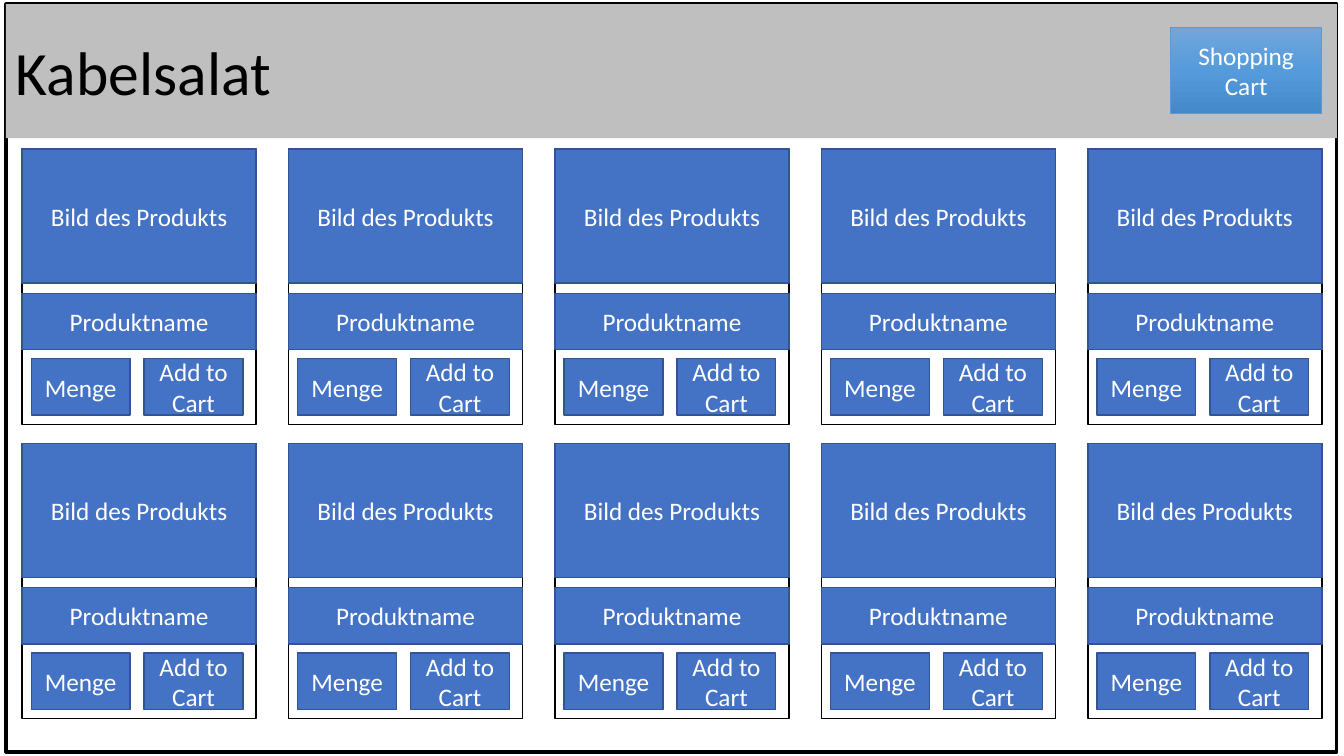
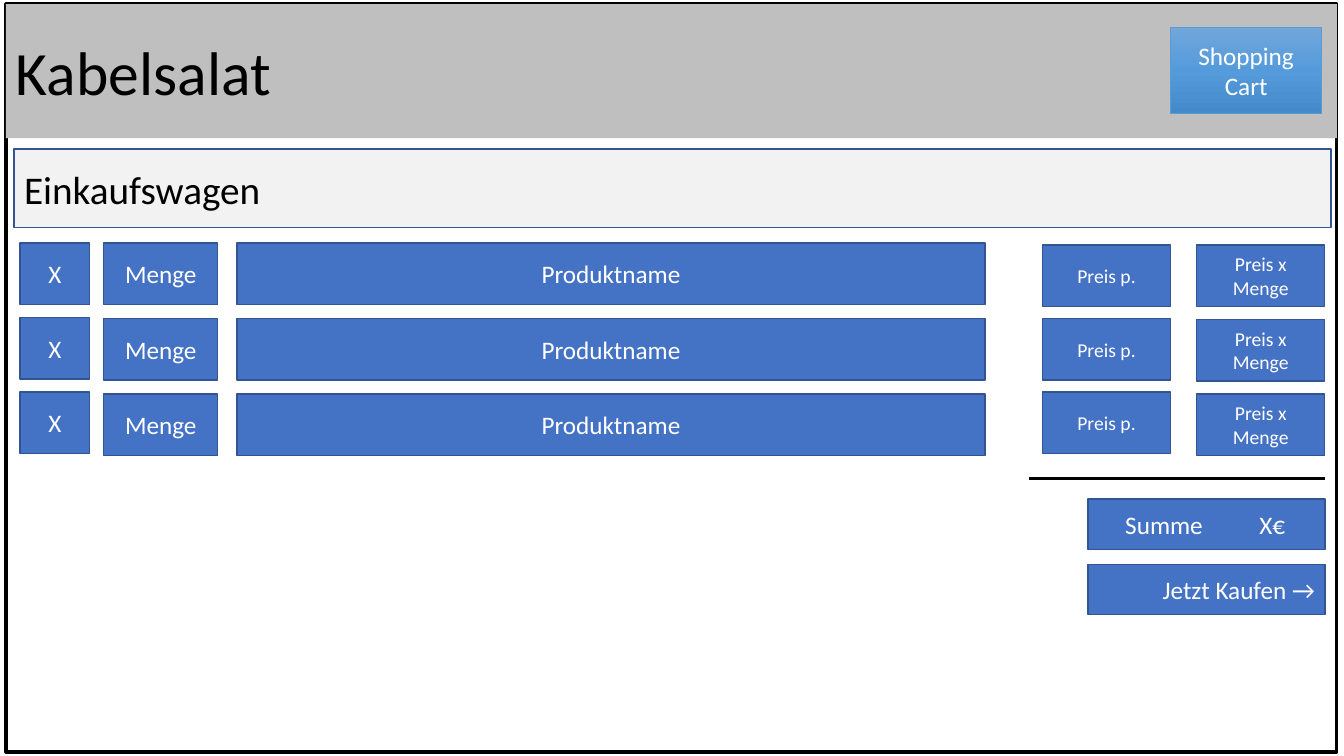
from lxml.etree import SubElement
from pptx import Presentation
from pptx.dml.color import RGBColor
from pptx.enum.shapes import MSO_CONNECTOR, MSO_SHAPE
from pptx.enum.text import PP_ALIGN
from pptx.oxml.ns import qn
from pptx.util import Inches, Pt

BLACK = RGBColor(0x00, 0x00, 0x00)
WHITE = RGBColor(0xFF, 0xFF, 0xFF)
HEADER_GRAY = RGBColor(0xBF, 0xBF, 0xBF)
LIGHT_GRAY = RGBColor(0xF2, 0xF2, 0xF2)
BLUE = RGBColor(0x44, 0x72, 0xC4)
DARK_BLUE = RGBColor(0x32, 0x54, 0x91)
BUTTON_EDGE = RGBColor(0x5B, 0x9B, 0xD5)
BUTTON_STOPS = [
    (0, RGBColor(0x71, 0xA6, 0xDB)),
    (50, RGBColor(0x55, 0x9B, 0xDB)),
    (100, RGBColor(0x44, 0x8A, 0xCA)),
]
FONT = "Calibri"
RECTANGLE = MSO_SHAPE.RECTANGLE
ROUNDED = MSO_SHAPE.ROUNDED_RECTANGLE


def add_box(shapes, left, top, width, height, text="", fill=BLUE, line=DARK_BLUE,
            line_width=1, size=18, color=WHITE, align=PP_ALIGN.CENTER, kind=RECTANGLE):
    shape = shapes.add_shape(kind, Inches(left), Inches(top), Inches(width), Inches(height))
    shape.shadow.inherit = False
    if fill is None:
        shape.fill.background()
    else:
        shape.fill.solid()
        shape.fill.fore_color.rgb = fill
    if line is None:
        shape.line.fill.background()
    else:
        shape.line.color.rgb = line
        shape.line.width = Pt(line_width)
    if text:
        shape.text_frame.text = text
        paragraph = shape.text_frame.paragraphs[0]
        paragraph.alignment = align
        font = paragraph.runs[0].font
        font.name = FONT
        font.size = Pt(size)
        font.color.rgb = color
    return shape


def add_color(parent, color):
    SubElement(parent, qn("a:srgbClr"), val=str(color))


def set_gradient(shape, stops):
    shape.fill.gradient()
    shape.fill.gradient_angle = 270
    stop_list = next(shape._element.iter(qn("a:gsLst")))
    for stop in list(stop_list):
        stop_list.remove(stop)
    for position, color in stops:
        add_color(SubElement(stop_list, qn("a:gs"), pos=str(position * 1000)), color)


def outline_text(run, color, width):
    properties = run._r.get_or_add_rPr()
    outline = SubElement(properties, qn("a:ln"), w=str(Pt(width)))
    add_color(SubElement(outline, qn("a:solidFill")), color)
    properties.insert(0, outline)


def add_page(presentation, left=0.06, top=0.04, width=13.2, height=7.42):
    slide = presentation.slides.add_slide(presentation.slide_layouts[6])
    add_box(slide.shapes, left, top, width, height, fill=None, line=BLACK, line_width=2.25)
    add_header(slide.shapes, left, top, width, 1.33)
    return slide


def add_header(shapes, left, top, width, height):
    header = add_box(shapes, left, top, width, height, "Kabelsalat", fill=HEADER_GRAY,
                     line=None, size=44, color=BLACK, align=PP_ALIGN.LEFT)
    outline_text(header.text_frame.paragraphs[0].runs[0], HEADER_GRAY, 0.75)
    button = add_box(shapes, left + width - 1.65, top + 0.23, 1.5, 0.86, "Shopping Cart",
                     line=BUTTON_EDGE, line_width=0.5)
    set_gradient(button, BUTTON_STOPS)


def add_product_card(slide, left, top, width=2.32, height=2.73):
    shapes = slide.shapes.add_group_shape().shapes
    add_box(shapes, left, top, width, height, fill=WHITE, line=BLACK)
    product_image = add_box(shapes, left, top, width, 1.33, "Bild des Produkts", kind=ROUNDED)
    product_image.adjustments[0] = 0
    add_box(shapes, left, top + 1.43, width, 0.56, "Produktname")
    for offset, label in [(0.09, "Menge"), (1.21, "Add to Cart")]:
        add_box(shapes, left + offset, top + 2.08, 0.98, 0.56, label)


def add_product_grid(slide, left, top, columns=5, rows=2, column_step=2.6425, row_step=2.92):
    for row in range(rows):
        for column in range(columns):
            add_product_card(slide, left + column * column_step, top + row * row_step)


def add_cart_items(slide, left, top, rows=3, height=0.61):
    columns = [
        (0, 0, 0.74, 0.69, "X", 18),
        (0.83, 0, 0.75, 1.13, "Menge", 18),
        (2.15, 0, 0.75, 7.42, "Produktname", 18),
        (10.14, 0.02, 0.73, 1.27, "Preis p.", 14),
        (11.67, 0.02, 0.74, 1.27, "Preis x Menge", 14),
    ]
    for x, y, step, width, label, size in columns:
        for row in range(rows):
            add_box(slide.shapes, left + x, top + y + row * step, width, height, label, size=size)


def add_checkout(slide, left, top, width):
    right = left + width
    rule = slide.shapes.add_connector(MSO_CONNECTOR.STRAIGHT, Inches(left), Inches(top),
                                      Inches(right), Inches(top))
    rule.line.color.rgb = BLACK
    rule.line.width = Pt(2.25)
    SubElement(rule._element.spPr, qn("a:effectLst"))

    box_width = 2.35
    box_left = right - box_width
    total = add_box(slide.shapes, box_left, top + 0.2, box_width, 0.5, "Summe\tX€",
                    align=PP_ALIGN.LEFT)
    total.text_frame.margin_left = Inches(0.37)
    properties = total.text_frame.paragraphs[0]._p.get_or_add_pPr()
    tabs = SubElement(properties, qn("a:tabLst"))
    SubElement(tabs, qn("a:tab"), pos=str(Inches(1.33)), algn="l")
    add_box(slide.shapes, box_left, top + 0.85, box_width, 0.5, "Jetzt Kaufen →",
            align=PP_ALIGN.RIGHT)


def build_shop(presentation):
    slide = add_page(presentation)
    add_product_grid(slide, 0.22, 1.48)


def build_cart(presentation):
    slide = add_page(presentation)
    add_box(slide.shapes, 0.14, 1.48, 13.06, 0.78, "Einkaufswagen", fill=LIGHT_GRAY,
            size=28, color=BLACK, align=PP_ALIGN.LEFT)
    add_cart_items(slide, 0.2, 2.41)
    add_checkout(slide, 10.21, 4.75, 2.93)


presentation = Presentation()
presentation.slide_width = Inches(13.33)
presentation.slide_height = Inches(7.5)
build_shop(presentation)
build_cart(presentation)
presentation.save("out.pptx")
